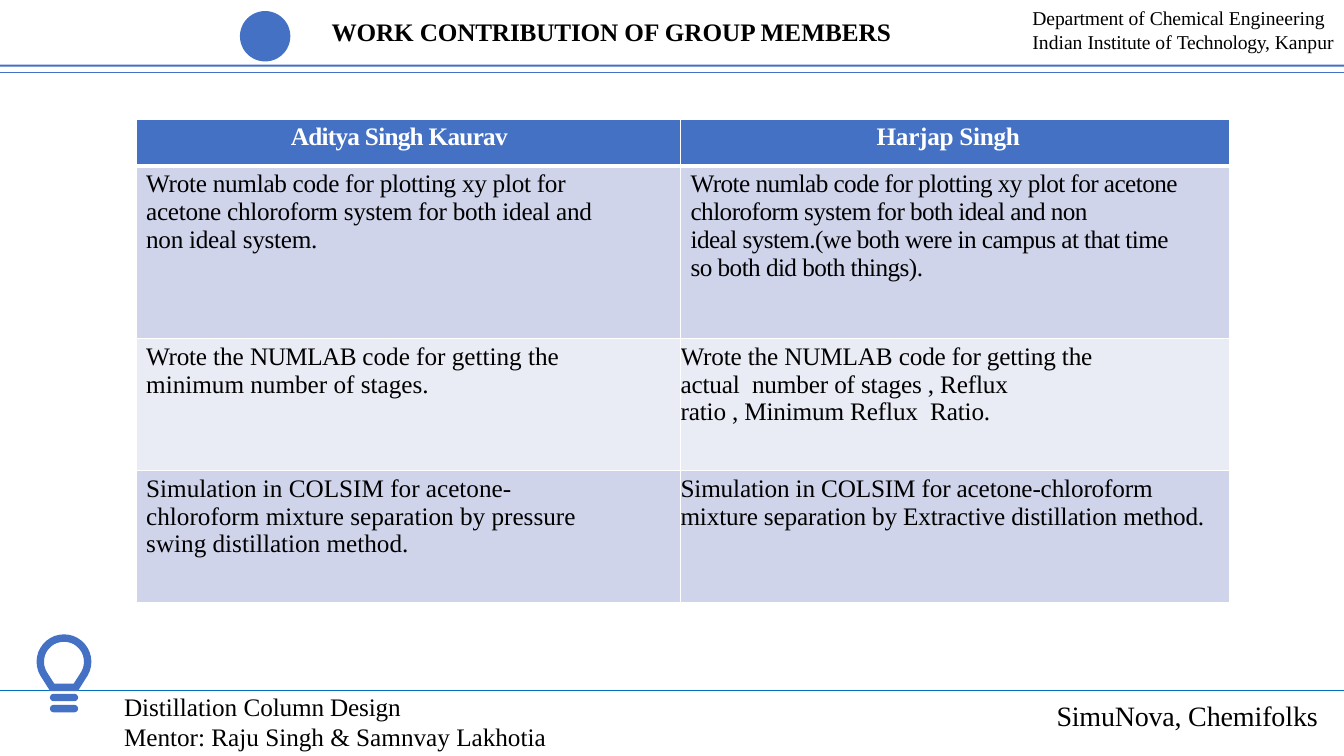
from math import cos, radians, sin

from lxml.etree import SubElement
from pptx import Presentation
from pptx.dml.color import RGBColor
from pptx.enum.shapes import MSO_CONNECTOR, MSO_SHAPE
from pptx.enum.text import PP_ALIGN
from pptx.oxml import parse_xml
from pptx.oxml.ns import nsdecls, qn
from pptx.util import Inches, Pt

WIDTH, HEIGHT = 13.33, 7.5
FONT = "Times New Roman"
BLUE, FOOTER_BLUE, WHITE, BLACK = "4471C4", "006FC0", "FFFFFF", "000000"
BAND_FILLS = ["CFD4EA", "E9EBF5"]
UNITS_PER_INCH = 1000

# Each cell: right margin, left margin, runs of (text, letter spacing in points).
# A tilde stands for a non-breaking space.
NAMES = [
    (0.18, 0, [("Aditya Singh Kaurav", -0.5)]),
    (0.14, 0, [("Harjap Singh", -0.2)]),
]
TASKS = [
    [
        (0.81, 0.1, [("Wrote numlab code for plotting xy plot for acetone chloroform "
                      "system for both ideal and non ideal system.", -0.2)]),
        (0.49, 0.1, [("Wrote~numlab~code for plotting~xy~plot for~acetone chloroform "
                      "system for both ideal and~non ideal~system.(we both were in "
                      "campus at that time so both did both things).", -0.4)]),
    ],
    [
        (0.81, 0.1, [("Wrote ", -0.2), ("the ", 0), ("NUMLAB ", -0.4),
                     ("code for getting the minimum number of stages.", 0)]),
        (0.49, 0, [("Wrote~the~NUMLAB~code for getting the "
                    "actual~~number~of~stages~, Reflux "
                    "ratio~,~Minimum~Reflux~~Ratio.", -0.1)]),
    ],
    [
        (0.81, 0.1, [("Simulation in COLSIM for acetone-chloroform mixture separation "
                      "by pressure swing distillation method.", 0)]),
        (0.1, 0, [("Simulation in COLSIM for acetone-chloroform mixture separation "
                   "by Extractive distillation method.", -0.1)]),
    ],
]


def color(hex_string):
    return RGBColor.from_string(hex_string)


def add_runs(paragraph, runs, size, ink=BLACK, bold=False):
    for text, spacing in runs:
        run = paragraph.add_run()
        run.text = text.replace("~", chr(160))
        run.font.name = FONT
        run.font.size = Pt(size)
        run.font.bold = bold
        run.font.color.rgb = color(ink)
        run.font._element.set("spc", str(round(spacing * 100)))


def add_text(slide, box, paragraphs, size, bold=False, line_points=None):
    frame = slide.shapes.add_textbox(*map(Inches, box)).text_frame
    frame.word_wrap = True
    frame.margin_left = frame.margin_top = Inches(0.01)
    frame.margin_right = frame.margin_bottom = 0
    for index, runs in enumerate(paragraphs):
        paragraph = frame.add_paragraph() if index else frame.paragraphs[0]
        if line_points and index == 0:
            paragraph.line_spacing = Pt(line_points)
        add_runs(paragraph, runs, size, bold=bold)


def add_rule(slide, y, ink):
    """Draw a thin line across the whole slide."""
    rule = slide.shapes.add_connector(
        MSO_CONNECTOR.STRAIGHT, 0, Inches(y), Inches(WIDTH), Inches(y))
    rule.line.color.rgb = color(ink)
    rule.line.width = Pt(0.5)
    SubElement(rule._element.spPr, qn("a:effectLst"))


def paint(shape, outline=0):
    shape.shadow.inherit = False
    shape.fill.solid()
    shape.fill.fore_color.rgb = color(BLUE)
    if outline:
        shape.line.color.rgb = color(BLUE)
        shape.line.width = Pt(outline)
    else:
        shape.line.fill.background()


def add_preset(slide, preset, box, outline=0):
    shape = slide.shapes.add_shape(preset, *map(Inches, box))
    paint(shape, outline)
    return shape


def bulb_contour(center_x, center_y, radius, neck_half, neck_y):
    """Points, in freeform units, of a round head that narrows to a neck."""
    arc = [(center_x + radius * cos(radians(a)), center_y + radius * sin(radians(a)))
           for a in range(150, 391, 10)]
    neck = [(center_x + neck_half, neck_y), (center_x - neck_half, neck_y)]
    return [(x * UNITS_PER_INCH, y * UNITS_PER_INCH) for x, y in arc + neck]


def add_bulb(slide, left, top, width):
    center_x, radius = left + width / 2, width / 2
    center_y = top + radius
    glass = bulb_contour(center_x, center_y, radius, width / 4, top + 0.55)
    hollow = bulb_contour(center_x, center_y, radius - 0.06, 0.1, top + 0.49)
    builder = slide.shapes.build_freeform(*glass[0], scale=Inches(1) / UNITS_PER_INCH)
    builder.add_line_segments(glass[1:], close=True)
    builder.move_to(*hollow[0])
    builder.add_line_segments(hollow[1:], close=True)
    paint(builder.convert_to_shape(), 1)
    for drop in (0.59, 0.7):
        cap = add_preset(slide, MSO_SHAPE.ROUNDED_RECTANGLE,
                         (center_x - width / 4, top + drop, width / 2, 0.06), 1)
        cap.adjustments[0] = 0.5


def add_header(slide, height):
    add_preset(slide, MSO_SHAPE.RECTANGLE, (0, height - 0.08, WIDTH, 0.02))
    add_preset(slide, MSO_SHAPE.OVAL, (2.38, 0.11, 0.5, 0.5))
    add_rule(slide, height, BLUE)
    add_text(slide, (3.28, 0.15, 5.7, 0.33),
             [[("WORK CONTRIBUTION ", -0.1), ("OF GROUP MEMBERS", 0)]], 18, bold=True)
    add_text(slide, (10.23, 0.05, 3.05, 0.5),
             [[("Department ", -0.1), ("of ", 0), ("Chemical ", -0.1),
               ("Engineering Indian ", 0), ("Institute ", -0.1), ("of ", 0),
               ("Technology, ", -0.2), ("Kanpur", 0)]], 14)


def add_footer(slide, top):
    add_rule(slide, top, FOOTER_BLUE)
    add_bulb(slide, 0.37, top - 0.55, 0.53)
    add_text(slide, (1.22, top + 0.01, 5.35, 0.9),
             [[("Distillation ", 0), ("Column Design", -0.1)],
              [("Mentor: Raju Singh & Samnvay Lakhotia", 0)]], 18, line_points=20.6)
    add_text(slide, (10.47, top + 0.09, 2.75, 0.34),
             [[("SimuNova, ", -0.2), ("Chemifolks", -0.1)]], 20, line_points=22.9)


def set_borders(cell, top, bottom):
    sides = [("lnL", 1), ("lnR", 1), ("lnT", top), ("lnB", bottom)]
    properties = cell._tc.get_or_add_tcPr()
    for index, (side, points) in enumerate(sides):
        properties.insert(index, parse_xml(
            f'<a:{side} {nsdecls("a")} w="{Pt(points)}"><a:solidFill>'
            f'<a:srgbClr val="{WHITE}"/></a:solidFill></a:{side}>'))


def fill_cell(cell, content, row):
    right, left, runs = content
    heading = row == 0
    cell.margin_left, cell.margin_right = Inches(left), Inches(right)
    cell.margin_top, cell.margin_bottom = Inches(0.04), 0
    cell.fill.solid()
    cell.fill.fore_color.rgb = color(BLUE if heading else BAND_FILLS[(row - 1) % 2])
    paragraph = cell.text_frame.paragraphs[0]
    paragraph.alignment = PP_ALIGN.CENTER if heading else PP_ALIGN.LEFT
    add_runs(paragraph, runs, 18, WHITE if heading else BLACK, heading)
    set_borders(cell, 3 if row == 1 else 1, 3 if heading else 1)


def add_contributions(slide, left, top, column_widths, row_heights):
    rows = [NAMES] + TASKS
    table = slide.shapes.add_table(
        len(rows), len(NAMES), Inches(left), Inches(top),
        Inches(sum(column_widths)), Inches(sum(row_heights))).table
    for column, width in zip(table.columns, column_widths):
        column.width = Inches(width)
    for index, (contents, height) in enumerate(zip(rows, row_heights)):
        table.rows[index].height = Inches(height)
        for position, content in enumerate(contents):
            fill_cell(table.cell(index, position), content, index)


def main():
    deck = Presentation()
    deck.slide_width, deck.slide_height = Inches(WIDTH), Inches(HEIGHT)
    slide = deck.slides.add_slide(deck.slide_layouts[6])
    add_header(slide, 0.72)
    add_footer(slide, 6.85)
    add_contributions(slide, 1.35, 1.18, [5.4, 5.45], [0.47, 1.71, 1.31, 1.31])
    deck.save("out.pptx")


if __name__ == "__main__":
    main()
